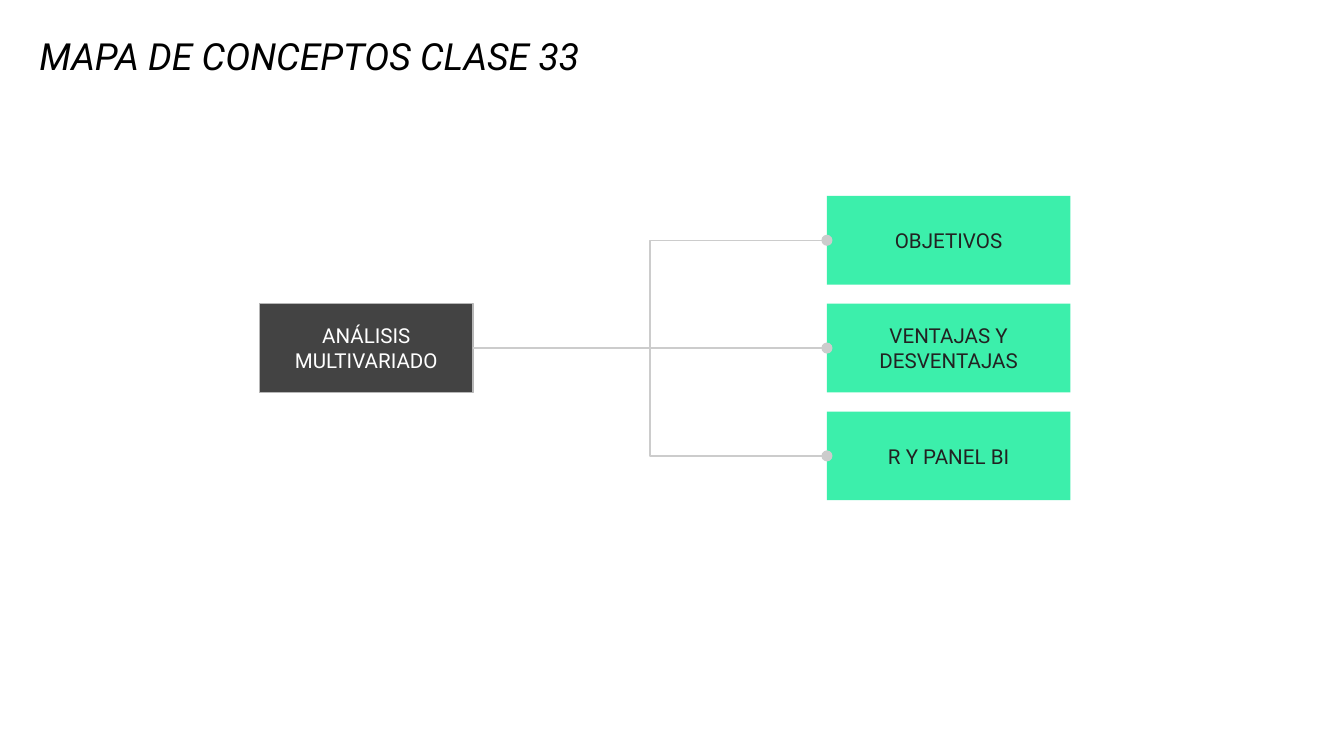
from dataclasses import dataclass

from lxml import etree
from pptx import Presentation
from pptx.dml.color import RGBColor
from pptx.enum import shapes, text
from pptx.oxml import ns
from pptx.util import Pt


@dataclass(frozen=True)
class Theme:
    font: str = "Roboto"
    title: float = 20
    body: float = 11
    rule: float = 0.75
    black: str = "000000"
    white: str = "FFFFFF"
    ink: str = "222222"
    dark: str = "434343"
    edge: str = "B7B7B7"
    green: str = "3CEFAB"
    link: str = "CCCCCC"


THEME = Theme()


def rgb(code):
    return RGBColor.from_string(code)


def write(shape, words, size=THEME.body, color=THEME.ink, italic=None,
          align=text.PP_ALIGN.CENTER, anchor=text.MSO_ANCHOR.MIDDLE):
    frame = shape.text_frame
    frame.word_wrap = True
    frame.vertical_anchor = anchor
    frame.margin_left = frame.margin_right = Pt(7.2)
    frame.margin_top = frame.margin_bottom = Pt(7.2)
    para = frame.paragraphs[0]
    para.alignment = align
    run = para.add_run()
    run.text = words
    run.font.name = THEME.font
    run.font.size = Pt(size)
    run.font.italic = italic
    run.font.color.rgb = rgb(color)


def add_title(slide, box, words):
    shape = slide.shapes.add_textbox(*map(Pt, box))
    write(shape, words, size=THEME.title, color=THEME.black, italic=True,
          align=text.PP_ALIGN.LEFT, anchor=text.MSO_ANCHOR.BOTTOM)


def add_node(slide, box, words, fill, color, edge=None):
    node = slide.shapes.add_shape(shapes.MSO_SHAPE.RECTANGLE, *map(Pt, box))
    node.shadow.inherit = False
    node.fill.solid()
    node.fill.fore_color.rgb = rgb(fill)
    if edge:
        node.line.color.rgb = rgb(edge)
        node.line.width = Pt(THEME.rule)
    else:
        node.line.fill.background()
    write(node, words, color=color)
    return node


def add_link(slide, root, leaf):
    """Join the root's right side to the leaf's left side, ending in a dot."""
    link = slide.shapes.add_connector(
        shapes.MSO_CONNECTOR.ELBOW,
        root.left + root.width, root.top + root.height // 2,
        leaf.left, leaf.top + leaf.height // 2)
    link.begin_connect(root, 3)
    link.end_connect(leaf, 1)
    link.line.color.rgb = rgb(THEME.link)
    link.line.width = Pt(THEME.rule)
    props = link.element.spPr
    line = props.find(ns.qn("a:ln"))
    etree.SubElement(line, ns.qn("a:tailEnd"), type="oval")
    etree.SubElement(props, ns.qn("a:effectLst"))


def add_map(slide, box, topic, branches):
    """Draw the topic at the left, centred on a column of branches."""
    left, top, width, height = box
    tall, root_wide, leaf_wide = 47.5, 114.5, 130.5
    step = (height - tall) / (len(branches) - 1)
    root = add_node(slide, (left, top + (height - tall) / 2, root_wide, tall),
                    topic, THEME.dark, THEME.white, THEME.edge)
    for row, words in enumerate(branches):
        place = (left + width - leaf_wide, top + row * step, leaf_wide, tall)
        leaf = add_node(slide, place, words, THEME.green, THEME.ink)
        add_link(slide, root, leaf)


def main():
    deck = Presentation()
    deck.slide_width, deck.slide_height = Pt(720), Pt(405)
    slide = deck.slides.add_slide(deck.slide_layouts[6])
    add_title(slide, (14, 15.8, 595, 33), "MAPA DE CONCEPTOS CLASE 33")
    add_map(slide, (139, 105, 434.5, 163), "ANÁLISIS MULTIVARIADO",
            ["OBJETIVOS", "VENTAJAS Y DESVENTAJAS", "R Y PANEL BI"])
    deck.save("out.pptx")


if __name__ == "__main__":
    main()
